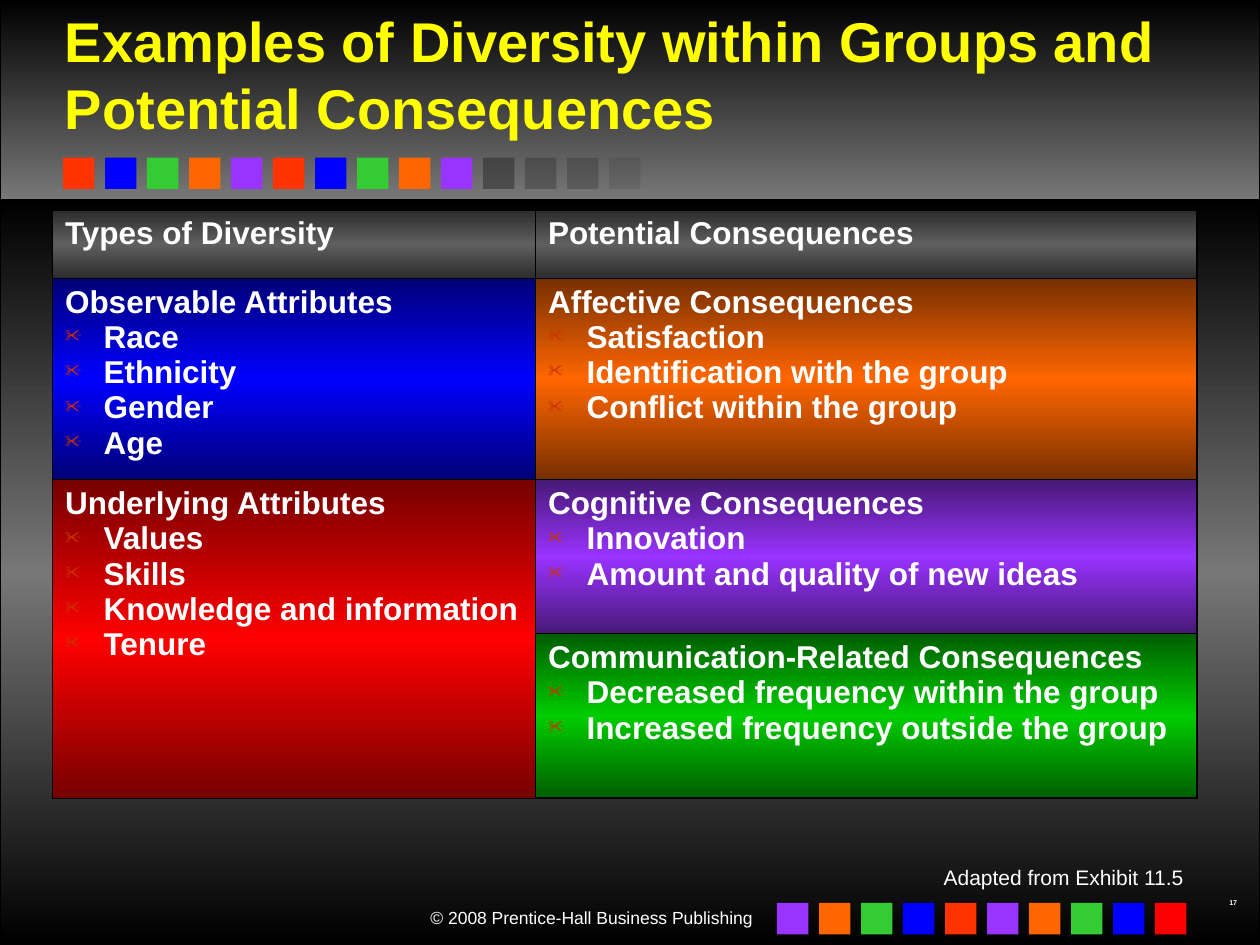
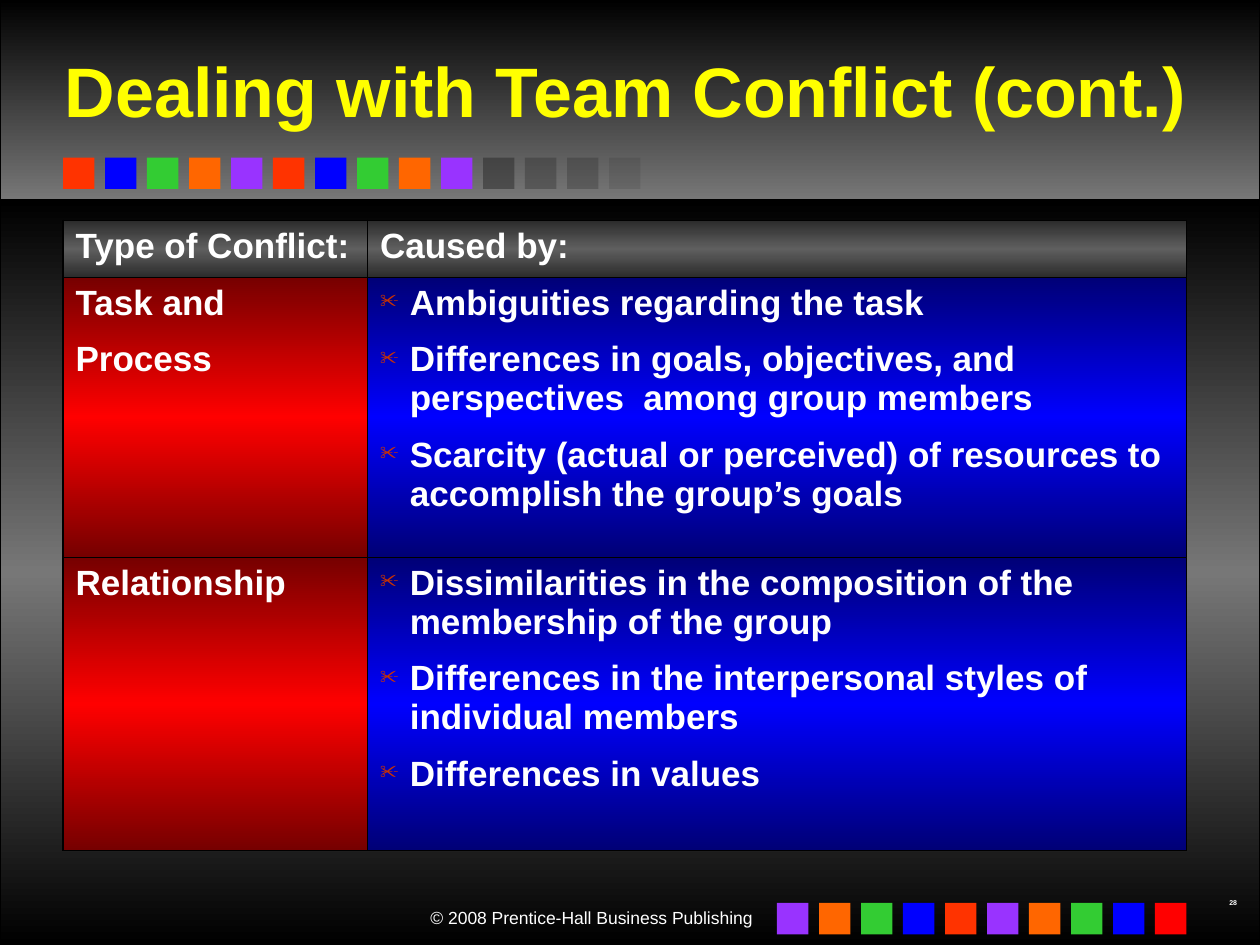
from copy import deepcopy

from lxml import etree
from pptx import Presentation
from pptx import util as u
from pptx.dml.color import RGBColor
from pptx.enum import shapes, text
from pptx.oxml.ns import qn

Pt = u.Pt
PITCH, SQUARE = 24, 18
RED, BLUE, GREEN, ORANGE, PURPLE = "FF3300", "0000FF", "33CC33", "FF6600", "9933FF"
RAINBOW = [RED, BLUE, GREEN, ORANGE, PURPLE]
FADING = [50, 35, 30, 15]
HEADER, PURE_RED, LEAF = "5F5F5F", "FF0000", "00CC00"


def color(hex_string):
    return RGBColor.from_string(hex_string)


def child(parent, tag, **attributes):
    return etree.SubElement(parent, qn(tag), attributes)


def assign(target, values):
    for name, value in values.items():
        setattr(target, name, value)


def dimmed(hex_string):
    """Darken a colour to the shade at the edges of a table cell."""
    channels = (int(hex_string[i:i + 2], 16) for i in (0, 2, 4))
    return "".join(f"{round(channel * 0.463):02X}" for channel in channels)


def fill_gradient(fill, owner, tones):
    """Spread the tones evenly from top to bottom; owner is the XML holding the fill."""
    fill.gradient()
    fill.gradient_angle = 270
    stops = owner.find(".//" + qn("a:gsLst"))
    while len(stops) < len(tones):
        stops.append(deepcopy(stops[-1]))
    for i, (stop, tone) in enumerate(zip(fill.gradient_stops, tones)):
        stop.color.rgb = color(tone)
        stop.position = i / (len(tones) - 1)


class Deck:
    """Holds the shared style and the slide being built."""

    font = "Arial"
    ink = "FFFFFF"
    title_ink = "FFFF00"
    bullet_ink = "CC3300"
    border_ink = "000000"
    frame = dict(margin_left=Pt(7.2), margin_right=Pt(7.2),
                 margin_top=Pt(3.6), margin_bottom=Pt(3.6))

    def __init__(self):
        self.presentation = Presentation()
        assign(self.presentation, dict(slide_width=Pt(720), slide_height=Pt(540)))

    def add_slide(self, title, title_top, title_size, number):
        self.slide = self.presentation.slides.add_slide(
            self.presentation.slide_layouts[6])
        self.band(0, 114, ["000000", "777777"])
        self.band(114, 426, ["000000", "777777", "000000"])
        self.label("© 2008 Prentice-Hall Business Publishing", (210, 515, 227, 19), 10)
        for i, tone in enumerate(RAINBOW * 2):
            self.square(36 + PITCH * i, 90, tone)
        for i, opacity in enumerate(FADING, start=2 * len(RAINBOW)):
            self.square(36 + PITCH * i, 90, "292929", opacity)
        for i, tone in enumerate((RAINBOW[::-1] * 2)[:-1] + [PURE_RED]):
            self.square(444 + PITCH * i, 516, tone)
        self.label(number, (678, 510, 36, 12), 4, bold=True)
        self.title(title, title_top, title_size)

    def rectangle(self, left, top, width, height):
        shape = self.slide.shapes.add_shape(
            shapes.MSO_SHAPE.RECTANGLE, Pt(left), Pt(top), Pt(width), Pt(height))
        shape.shadow.inherit = False
        return shape

    def band(self, top, height, tones):
        band = self.rectangle(0, top, 720, height)
        fill_gradient(band.fill, band._element.spPr, tones)
        band.line.color.rgb = color(self.border_ink)
        band.line.width = Pt(0.75)

    def square(self, left, top, tone, opacity=100):
        square = self.rectangle(left, top, SQUARE, SQUARE)
        square.fill.solid()
        square.fill.fore_color.rgb = color(tone)
        square.line.fill.background()
        if opacity < 100:
            paint = square._element.spPr.find(qn("a:solidFill"))
            child(paint[0], "a:alpha", val=str(opacity * 1000))

    def add_words(self, paragraph, words, size, bold, ink=None):
        run = paragraph.add_run()
        run.text = words
        assign(run.font, dict(name=self.font, size=Pt(size), bold=bold))
        run.font.color.rgb = color(ink or self.ink)
        return run

    def text_box(self, at, anchor):
        box = self.slide.shapes.add_textbox(*map(Pt, at)).text_frame
        assign(box, dict(self.frame, word_wrap=True, vertical_anchor=anchor))
        return box.paragraphs[0]

    def label(self, words, at, size, bold=False, line_spacing=None):
        paragraph = self.text_box(at, text.MSO_ANCHOR.TOP)
        assign(paragraph, dict(alignment=text.PP_ALIGN.RIGHT, line_spacing=line_spacing))
        self.add_words(paragraph, words, size, bold)

    def title(self, words, top, size):
        paragraph = self.text_box((30, top, 678, 84 - top), text.MSO_ANCHOR.MIDDLE)
        run = self.add_words(paragraph, words, size, True, self.title_ink)
        effects = etree.Element(qn("a:effectLst"))
        shadow = child(effects, "a:outerShdw", dist=str(Pt(2)), dir="2700000")
        child(shadow, "a:srgbClr", val="000000")
        run.font._element.find(qn("a:solidFill")).addnext(effects)

    def bullet(self, paragraph, indent):
        properties = paragraph._p.get_or_add_pPr()
        properties.set("marL", str(Pt(indent)))
        properties.set("indent", str(-Pt(indent)))
        child(child(properties, "a:buClr"), "a:srgbClr", val=self.bullet_ink)
        child(properties, "a:buSzPct", val="55000")
        child(properties, "a:buChar", char="✂")

    def borders(self, cell, outer_sides):
        """Draw all four sides, heavier where the cell meets the table's edge."""
        properties = cell._tc.get_or_add_tcPr()
        for side in "LRTB":
            width = Pt(1.08 if side in outer_sides else 0.45)
            line = child(properties, "a:ln" + side, w=str(width))
            child(child(line, "a:solidFill"), "a:srgbClr", val=self.border_ink)

    def table(self, left, top, widths, heights, rows, size, indent, gap):
        """Each cell is (tone, headings, bullet points); None continues the cell above."""
        table = self.slide.shapes.add_table(
            len(heights), len(widths), Pt(left), Pt(top),
            Pt(sum(widths)), Pt(sum(heights))).table
        assign(table, dict(first_row=False, horz_banding=False))
        for column, width in zip(table.columns, widths):
            column.width = Pt(width)
        for row, height in zip(table.rows, heights):
            row.height = Pt(height)
        for r, row in enumerate(rows):
            for c, content in enumerate(row):
                cell = table.cell(r, c)
                at_edge = dict(L=c == 0, R=c == len(widths) - 1,
                               T=r == 0, B=r == len(heights) - 1)
                self.borders(cell, [side for side, outer in at_edge.items() if outer])
                tone, headings, points = content or (rows[r - 1][c][0], [], [])
                edge = dimmed(tone)
                fill_gradient(cell.fill, cell._tc.tcPr, [edge, tone, edge])
                if content is None:
                    table.cell(r - 1, c).merge(cell)
                    continue
                assign(cell, self.frame)
                for i, words in enumerate(headings + points):
                    frame = cell.text_frame
                    paragraph = frame.add_paragraph() if i else frame.paragraphs[0]
                    paragraph.space_before = Pt(gap if i else 0)
                    if i >= len(headings):
                        self.bullet(paragraph, indent)
                    self.add_words(paragraph, words, size, True)


def diversity_slide(deck):
    deck.add_slide("Examples of Diversity within Groups and Potential Consequences",
                   0, 32, "17")
    observable = (BLUE, ["Observable Attributes"], ["Race", "Ethnicity", "Gender", "Age"])
    underlying = (PURE_RED, ["Underlying Attributes"],
                  ["Values", "Skills", "Knowledge and information", "Tenure"])
    affective = (ORANGE, ["Affective Consequences"],
                 ["Satisfaction", "Identification with the group",
                  "Conflict within the group"])
    cognitive = (PURPLE, ["Cognitive Consequences"],
                 ["Innovation", "Amount and quality of new ideas"])
    communication = (LEAF, ["Communication-Related Consequences"],
                     ["Decreased frequency within the group",
                      "Increased frequency outside the group"])
    deck.table(30, 120, [276, 378], [39, 115, 88, 94], [
        [(HEADER, ["Types of Diversity"], []), (HEADER, ["Potential Consequences"], [])],
        [observable, affective],
        [underlying, cognitive],
        [None, communication],
    ], size=18, indent=22, gap=0)
    deck.label("Adapted from Exhibit 11.5", (510, 492, 173.5, 20), 12, line_spacing=0.9)


def conflict_slide(deck):
    deck.add_slide("Dealing with Team Conflict (cont.)", 18, 40, "28")
    task_causes = ["Ambiguities regarding the task",
                   "Differences in goals, objectives, and perspectives  among group members",
                   "Scarcity (actual or perceived) of resources to accomplish "
                   "the group’s goals"]
    relationship_causes = ["Dissimilarities in the composition of the membership "
                           "of the group",
                           "Differences in the interpersonal styles of individual members",
                           "Differences in values"]
    deck.table(36, 126, [174, 468], [32.4, 160, 167.6], [
        [(HEADER, ["Type of Conflict:"], []), (HEADER, ["Caused by:"], [])],
        [(PURE_RED, ["Task and", "Process"], []), (BLUE, [], task_causes)],
        [(PURE_RED, ["Relationship"], []), (BLUE, [], relationship_causes)],
    ], size=20, indent=17, gap=10)


def main():
    deck = Deck()
    diversity_slide(deck)
    conflict_slide(deck)
    deck.presentation.save("out.pptx")


if __name__ == "__main__":
    main()
